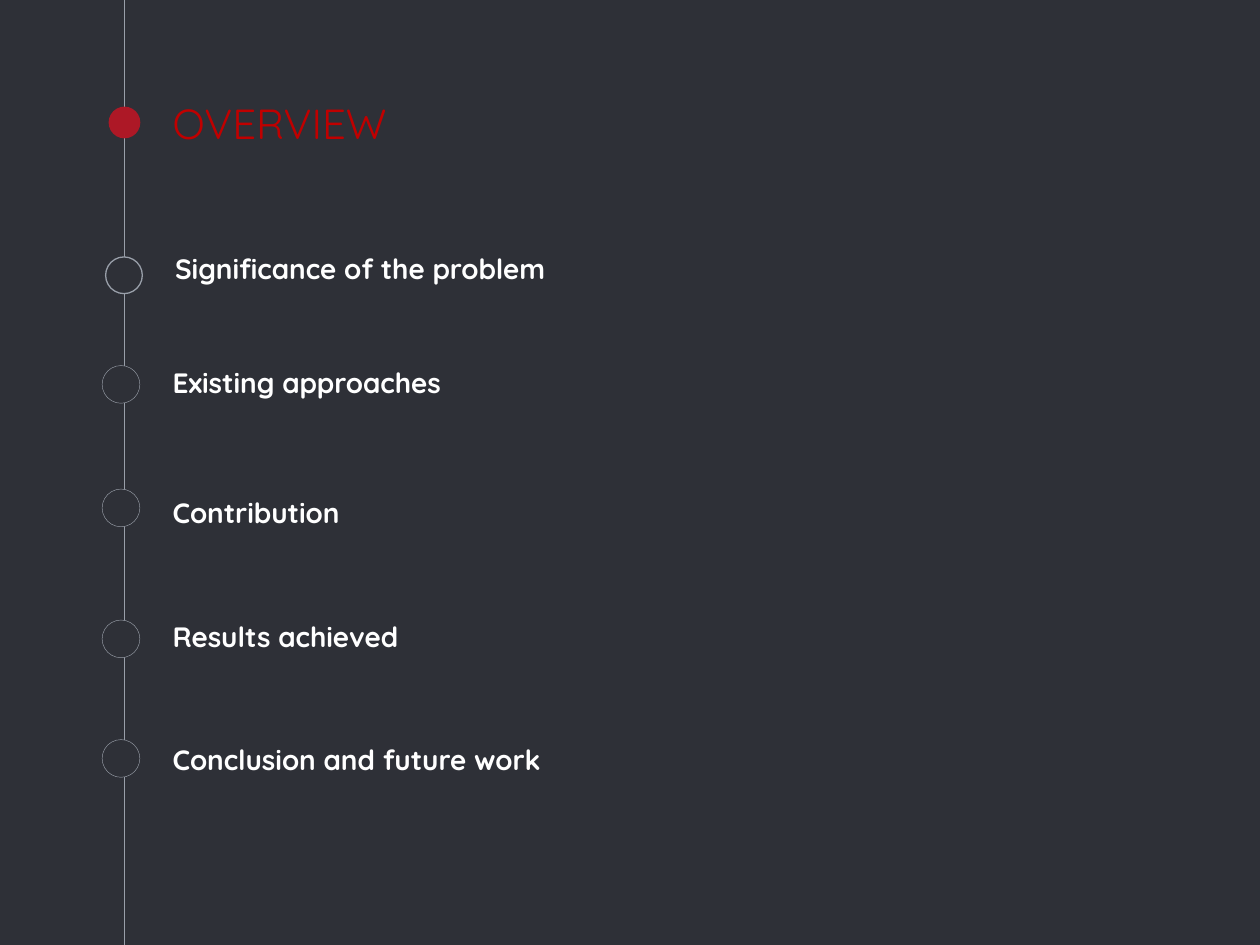
from dataclasses import dataclass

import pptx
import pptx.dml.color
import pptx.enum.shapes
import pptx.enum.text
import pptx.oxml.ns
import pptx.util
from lxml import etree

Cm, Pt = pptx.util.Cm, pptx.util.Pt
ANCHOR = pptx.enum.text.MSO_ANCHOR

COLORS = {
    "back": "2E3037",
    "axis": "999FA9",
    "ring": "989EA8",
    "dot": "AD1826",
    "title": "C00000",
    "text": "FFFFFF",
}
FONT = "Quicksand"
AXIS_X = 2.51
TITLE_FONT = {"name": FONT, "size": Pt(24), "bold": False}
ITEM_FONT = {"name": FONT, "size": Pt(16), "bold": True}


@dataclass
class Marker:
    left: float
    top: float
    size: float = 0.76
    fill: str = "back"
    line: str | None = "ring"
    width: float = 0.25


@dataclass
class Item:
    text: str
    top: float
    marker: Marker
    left: float = 3.23
    height: float = 2.2


ITEMS = [
    Item("Significance of the problem", 4.83,
         Marker(2.13, 5.18, 0.74, line="axis", width=0.75), left=3.28),
    Item("Existing approaches", 7.11, Marker(2.06, 7.37)),
    Item("Contribution", 9.75, Marker(2.06, 9.86)),
    Item("Results achieved", 12.24, Marker(2.06, 12.5)),
    Item("Conclusion and future work", 14.71, Marker(2.06, 14.91)),
]


def rgb(key: str) -> pptx.dml.color.RGBColor:
    return pptx.dml.color.RGBColor.from_string(COLORS[key])


def draw_axis(s, x: float, bottom: int) -> None:
    line = s.shapes.add_connector(
        pptx.enum.shapes.MSO_CONNECTOR.STRAIGHT, Cm(x), 0, Cm(x), bottom)
    line.line.color.rgb = rgb("axis")
    line.line.width = Pt(0.75)
    etree.SubElement(line._element.spPr, pptx.oxml.ns.qn("a:effectLst"))


def draw_marker(s, m: Marker) -> None:
    sp = s.shapes.add_shape(pptx.enum.shapes.MSO_SHAPE.OVAL,
                            Cm(m.left), Cm(m.top), Cm(m.size), Cm(m.size))
    sp.shadow.inherit = False
    sp.fill.solid()
    sp.fill.fore_color.rgb = rgb(m.fill)
    if m.line:
        sp.line.color.rgb = rgb(m.line)
        sp.line.width = Pt(m.width)
    else:
        sp.line.fill.background()


def write_text(sp, text: str, font: dict, color: str, anchor) -> None:
    tf = sp.text_frame
    frame = {"word_wrap": True, "vertical_anchor": anchor,
             "auto_size": pptx.enum.text.MSO_AUTO_SIZE.NONE}
    frame.update({f"margin_{side}": Cm(0.25)
                  for side in ("left", "right", "top", "bottom")})
    for name, value in frame.items():
        setattr(tf, name, value)
    p = tf.paragraphs[0]
    p.alignment = pptx.enum.text.PP_ALIGN.LEFT
    r = p.add_run()
    r.text = text
    for name, value in font.items():
        setattr(r.font, name, value)
    r.font.color.rgb = rgb(color)


def draw_item(s, item: Item) -> None:
    draw_marker(s, item.marker)
    sp = s.shapes.add_textbox(Cm(item.left), Cm(item.top), Cm(20.9), Cm(item.height))
    write_text(sp, item.text, ITEM_FONT, "text", ANCHOR.TOP)
    sp.text_frame.paragraphs[0].space_before = Pt(6)


def main() -> None:
    prs = pptx.Presentation()
    prs.slide_width, prs.slide_height = Cm(25.4), Cm(19.05)
    s = prs.slides.add_slide(prs.slide_layouts[5])
    s.background.fill.solid()
    s.background.fill.fore_color.rgb = rgb("back")

    # Title
    title = s.shapes.title
    box = {"left": 3.23, "top": 1.96, "width": 19.05, "height": 1.27}
    for name, value in box.items():
        setattr(title, name, Cm(value))
    write_text(title, "OVERVIEW", TITLE_FONT, "title", ANCHOR.BOTTOM)

    # Timeline with its heading dot
    draw_axis(s, AXIS_X, prs.slide_height)
    draw_marker(s, Marker(2.19, 2.15, 0.64, fill="dot", line=None))

    # Agenda items
    for item in ITEMS:
        draw_item(s, item)

    prs.save("out.pptx")


if __name__ == "__main__":
    main()
